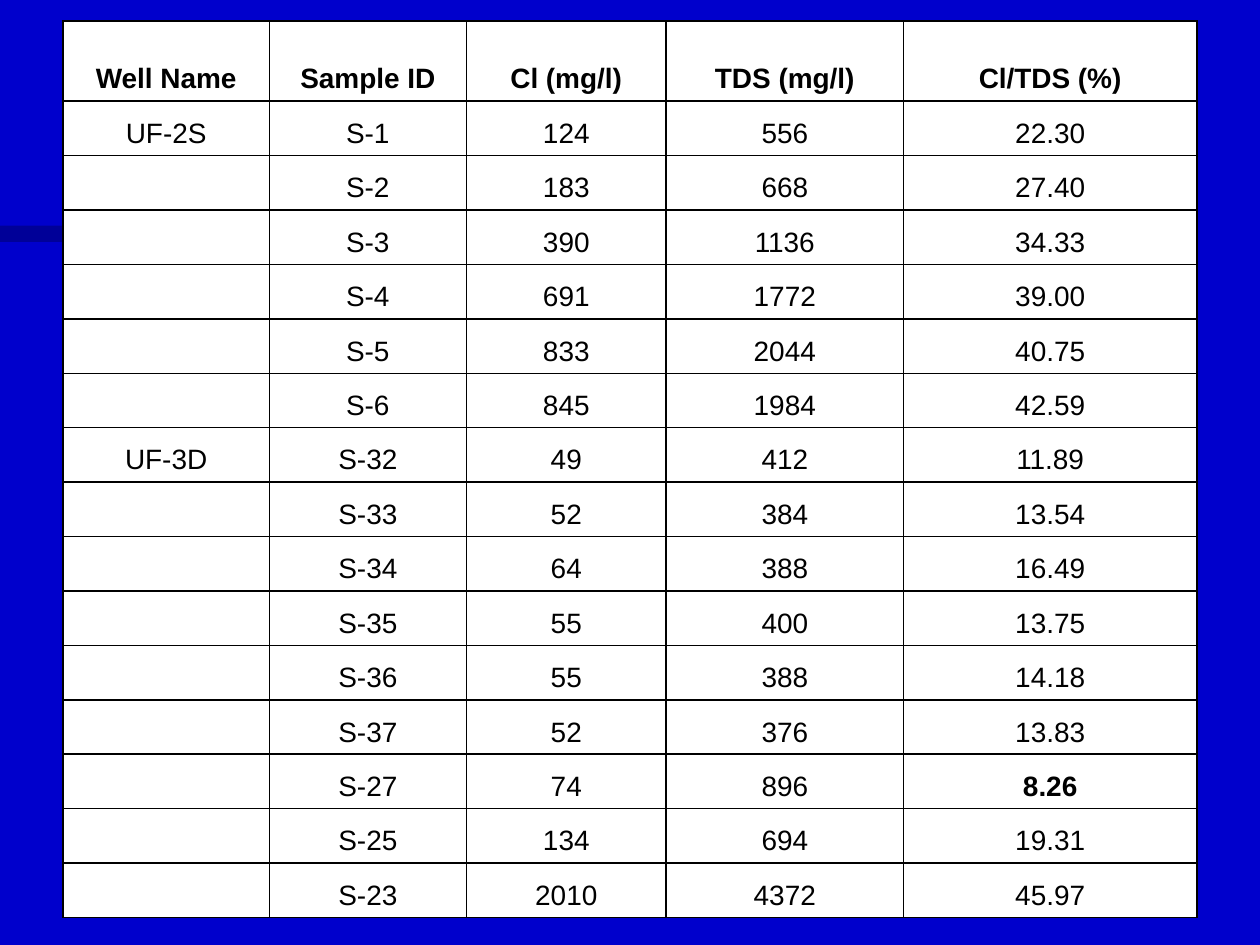
"""Build a slide with a table of chloride and TDS values for two wells."""
from lxml.etree import SubElement as Sub
from pptx import Presentation
from pptx.dml.color import RGBColor as RGB
from pptx.enum.shapes import MSO_SHAPE as Shape
from pptx.enum.text import MSO_ANCHOR as Anchor, PP_ALIGN as Align
from pptx.oxml.ns import qn
from pptx.util import Cm, Pt

HEAD = ["Well Name", "Sample ID", "Cl (mg/l)", "TDS (mg/l)", "Cl/TDS (%)"]
WELLS = {
    "UF-2S": [
        ("S-1", "124", "556", "22.30"),
        ("S-2", "183", "668", "27.40"),
        ("S-3", "390", "1136", "34.33"),
        ("S-4", "691", "1772", "39.00"),
        ("S-5", "833", "2044", "40.75"),
        ("S-6", "845", "1984", "42.59"),
    ],
    "UF-3D": [
        ("S-32", "49", "412", "11.89"),
        ("S-33", "52", "384", "13.54"),
        ("S-34", "64", "388", "16.49"),
        ("S-35", "55", "400", "13.75"),
        ("S-36", "55", "388", "14.18"),
        ("S-37", "52", "376", "13.83"),
        ("S-27", "74", "896", "8.26"),
        ("S-25", "134", "694", "19.31"),
        ("S-23", "2010", "4372", "45.97"),
    ],
}
BOLD = HEAD + ["8.26"]
COLS = [4.16, 3.97, 4.03, 4.78, 5.92]
LEFT, TOP, HIGH, HEAD_HIGH = 1.27, 0.42, 18.08, 1.62


def paint(fill, hue):
    fill.solid()
    fill.fore_color.rgb = RGB.from_string(hue)


def write(cell, text, size=16, bold=False, hue="000000", font="Arial", hang=0.96):
    para = cell.text_frame.paragraphs[0]
    para.alignment = Align.CENTER
    props = para._p.get_or_add_pPr()
    props.set("marL", str(Cm(hang)))
    props.set("indent", str(-Cm(hang)))
    run = para.add_run()
    run.text = text
    run.font.name, run.font.size, run.font.bold = font, Pt(size), bold
    run.font.color.rgb = RGB.from_string(hue)


def edge(cell, hue="000000", width=1):
    props = cell._tc.get_or_add_tcPr()
    for spot, side in enumerate(("lnL", "lnR", "lnT", "lnB")):
        line = props.makeelement(qn("a:" + side), {"w": str(Pt(width))})
        props.insert(spot, line)
        Sub(Sub(line, qn("a:solidFill")), qn("a:srgbClr"), val=hue)


def add_band(slide):
    band = slide.shapes.add_shape(Shape.RECTANGLE, Cm(0), Cm(4.55), Cm(9.3), Cm(0.33))
    band.shadow.inherit = False
    band.line.fill.background()
    paint(band.fill, "000066")
    tint = band._element.spPr.find(qn("a:solidFill"))[0]
    Sub(tint, qn("a:alpha"), val="50000")


def add_grid(slide):
    rows = [HEAD]
    for well, tests in WELLS.items():
        rows += [(well if i == 0 else "", *test) for i, test in enumerate(tests)]
    frame = slide.shapes.add_table(
        len(rows), len(COLS), Cm(LEFT), Cm(TOP), Cm(sum(COLS)), Cm(HIGH))
    grid = frame.table
    grid.first_row = grid.horz_banding = False
    for col, wide in zip(grid.columns, COLS):
        col.width = Cm(wide)
    step = (HIGH - HEAD_HIGH) / (len(rows) - 1)
    for r, row in enumerate(rows):
        grid.rows[r].height = Cm(step if r else HEAD_HIGH)
        for c, text in enumerate(row):
            cell = grid.cell(r, c)
            cell.vertical_anchor = Anchor.BOTTOM
            paint(cell.fill, "FFFFFF")
            edge(cell)
            if text:
                write(cell, text, bold=text in BOLD)


def main():
    deck = Presentation()
    deck.slide_width, deck.slide_height = Cm(25.4), Cm(19.05)
    slide = deck.slides.add_slide(deck.slide_layouts[6])
    paint(slide.background.fill, "0000CC")
    add_band(slide)
    add_grid(slide)
    deck.save("out.pptx")


if __name__ == "__main__":
    main()
